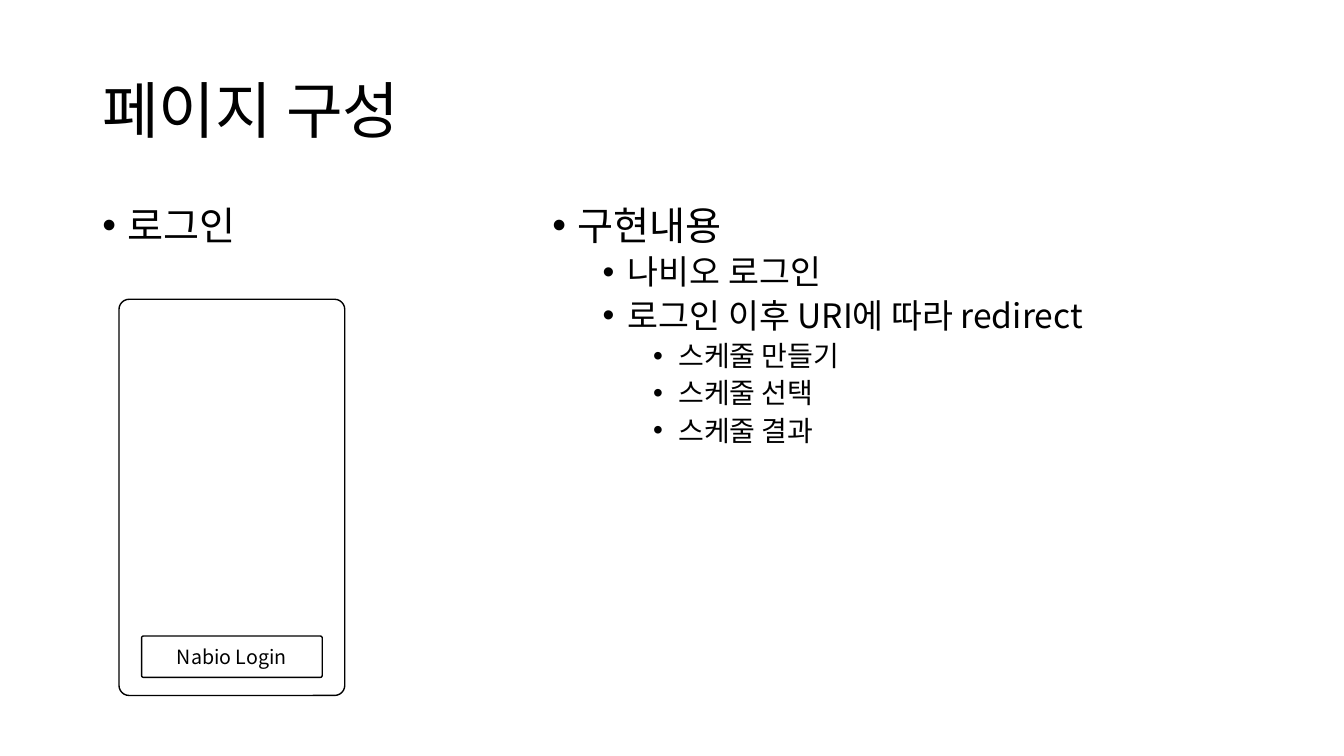
from lxml import etree
from pptx import Presentation
from pptx.dml.color import RGBColor
from pptx.enum.shapes import MSO_SHAPE as Shape
from pptx.enum.text import MSO_ANCHOR as Anchor, PP_ALIGN as Align
from pptx.oxml.ns import qn
from pptx.util import Pt

FONT = "Noto Sans CJK KR"
COLORS = {"ink": "000000", "paper": "FFFFFF"}
LEVEL_SIZES = (28, 24, 20)
LEVEL_STEP = 36
BULLET_HANG = 18


def color(name):
    return RGBColor.from_string(COLORS[name])


def add_run(paragraph, words, size):
    """Add a run whose font covers both Latin and Korean letters."""
    run = paragraph.add_run()
    run.text = words
    run.font.name = FONT
    run.font.size = Pt(size)
    run.font.color.rgb = color("ink")
    latin = run.font._element.find(qn("a:latin"))
    korean = etree.Element(qn("a:ea"), typeface=FONT)
    latin.addnext(korean)


def add_text_frame(slide, left, top, width, height):
    frame = slide.shapes.add_textbox(
        Pt(left), Pt(top), Pt(width), Pt(height)).text_frame
    frame.word_wrap = True
    return frame


def add_title(slide, words, left, top, width, height):
    frame = add_text_frame(slide, left, top, width, height)
    frame.vertical_anchor = Anchor.MIDDLE
    heading = frame.paragraphs[0]
    heading.line_spacing = 0.9
    add_run(heading, words, 44)


def add_outline(slide, items, left, top, width, height):
    """Write (level, words) pairs as a bulleted outline."""
    frame = add_text_frame(slide, left, top, width, height)
    for index, (level, words) in enumerate(items):
        entry = frame.add_paragraph() if index else frame.paragraphs[0]
        entry.level = level
        entry.line_spacing = 0.9
        entry.space_before = Pt(5 if level else 10)
        add_run(entry, words, LEVEL_SIZES[level])
        props = entry._p.get_or_add_pPr()
        props.set("marL", str(Pt(BULLET_HANG + level * LEVEL_STEP)))
        props.set("indent", str(-Pt(BULLET_HANG)))
        etree.SubElement(props, qn("a:buFont"), typeface="Arial")
        etree.SubElement(props, qn("a:buChar"), char="•")


def add_panel(slide, left, top, width, height):
    panel = slide.shapes.add_shape(
        Shape.ROUNDED_RECTANGLE, Pt(left), Pt(top), Pt(width), Pt(height))
    panel.adjustments[0] = 0.045
    panel.shadow.inherit = False
    panel.fill.solid()
    panel.fill.fore_color.rgb = color("paper")
    panel.line.color.rgb = color("ink")
    panel.line.width = Pt(1)
    return panel


def add_phone_mockup(slide, button_label, left, top, width, height):
    """Draw a phone screen with one button near its lower edge."""
    add_panel(slide, left, top, width, height)
    button_width, button_height = 129, 29.5
    button = add_panel(slide, left + (width - button_width) / 2,
                       top + height - button_height - 13,
                       button_width, button_height)
    frame = button.text_frame
    frame.word_wrap = True
    frame.vertical_anchor = Anchor.MIDDLE
    label = frame.paragraphs[0]
    label.alignment = Align.CENTER
    add_run(label, button_label, 14)


def main():
    deck = Presentation()
    deck.slide_width, deck.slide_height = Pt(960), Pt(540)
    slide = deck.slides.add_slide(deck.slide_layouts[6])

    add_title(slide, "페이지 구성", 66, 28.8, 828, 104.4)
    add_outline(slide, [(0, "로그인")], 66, 144, 365, 342.7)
    add_phone_mockup(slide, "Nabio Login", 85, 213.8, 161.3, 283)
    features = [
        (0, "구현내용"),
        (1, "나비오 로그인"),
        (1, "로그인 이후 URI에 따라 redirect"),
        (2, "스케줄 만들기"),
        (2, "스케줄 선택"),
        (2, "스케줄 결과"),
    ]
    add_outline(slide, features, 387.4, 144, 478, 342.7)
    deck.save("out.pptx")


if __name__ == "__main__":
    main()
